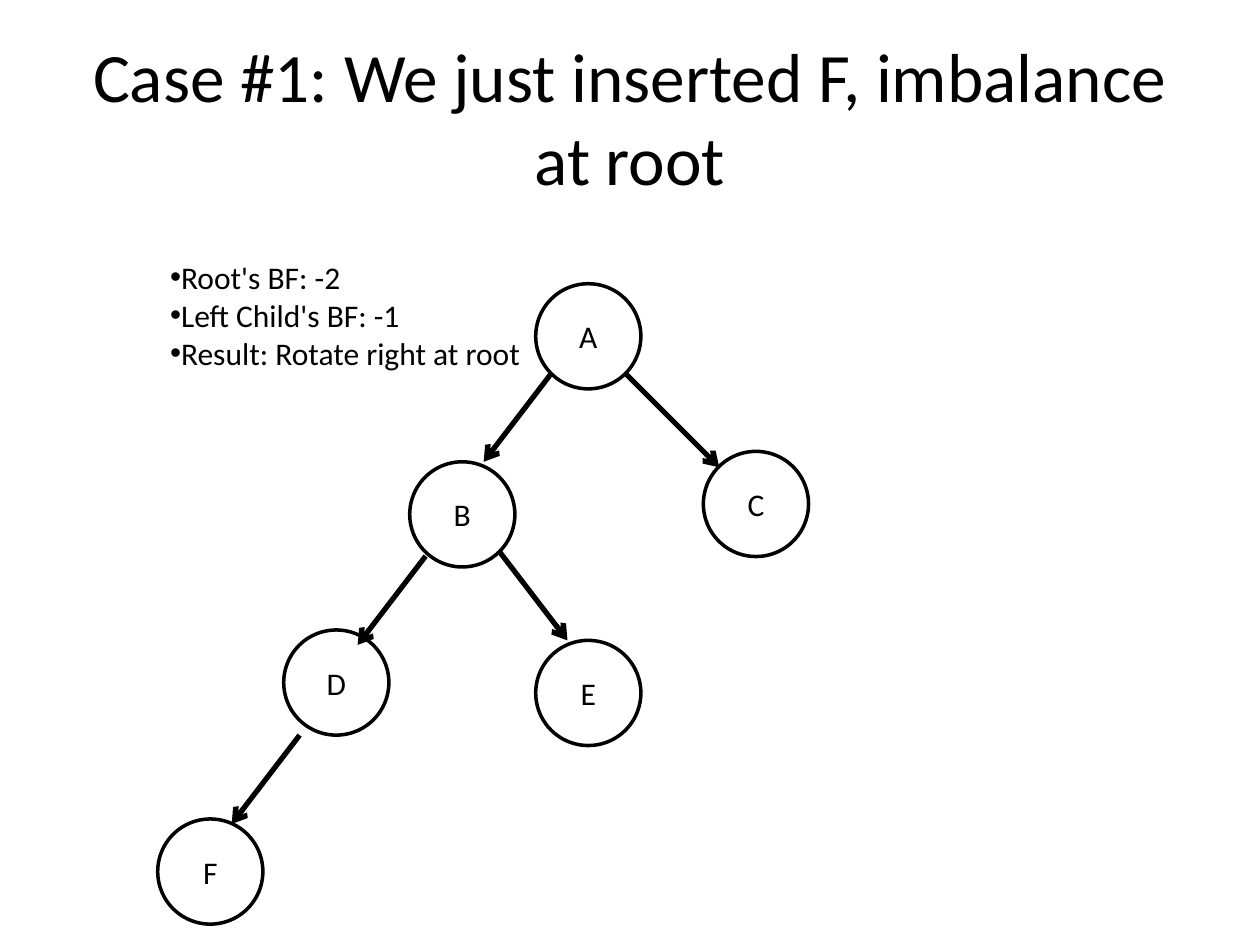
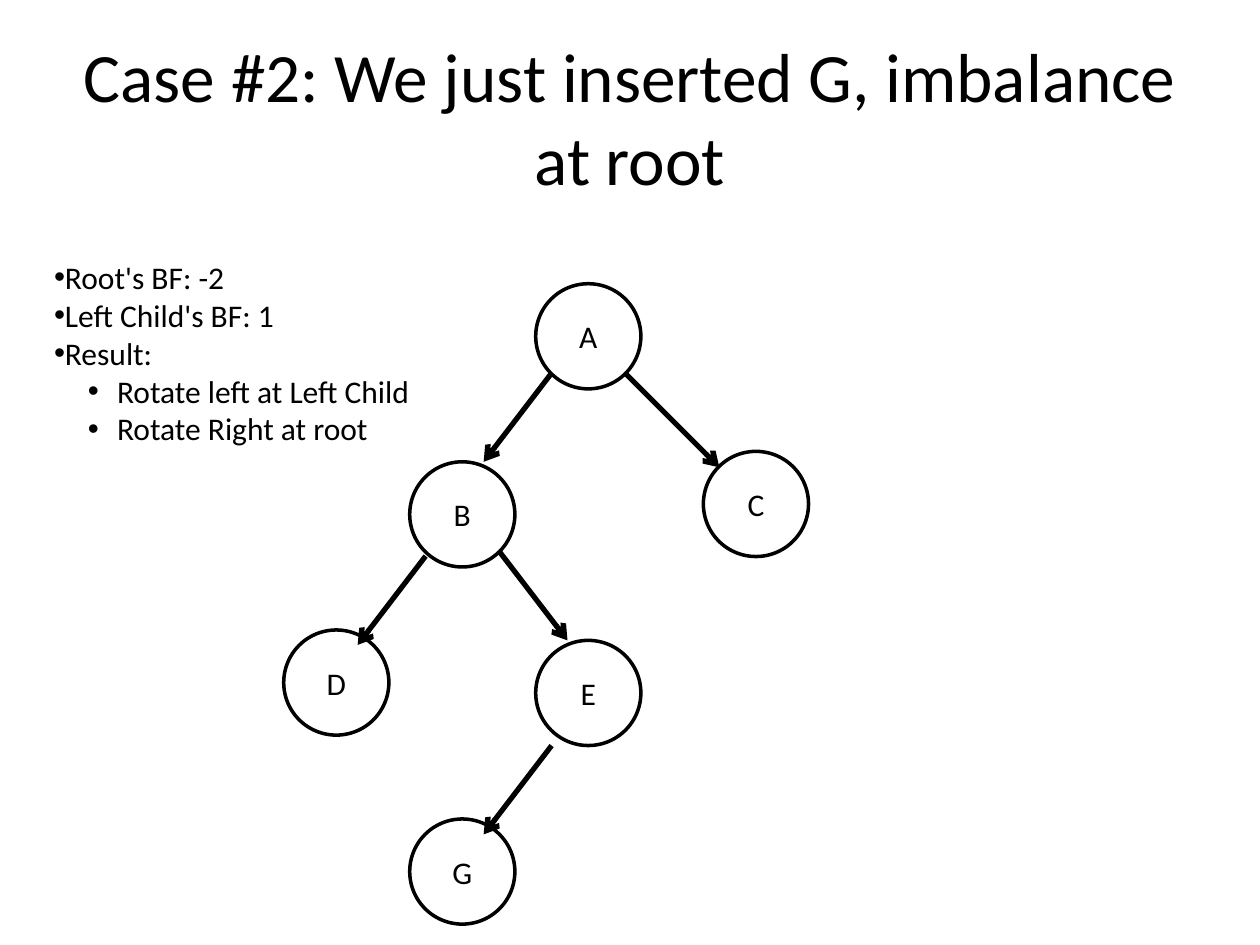
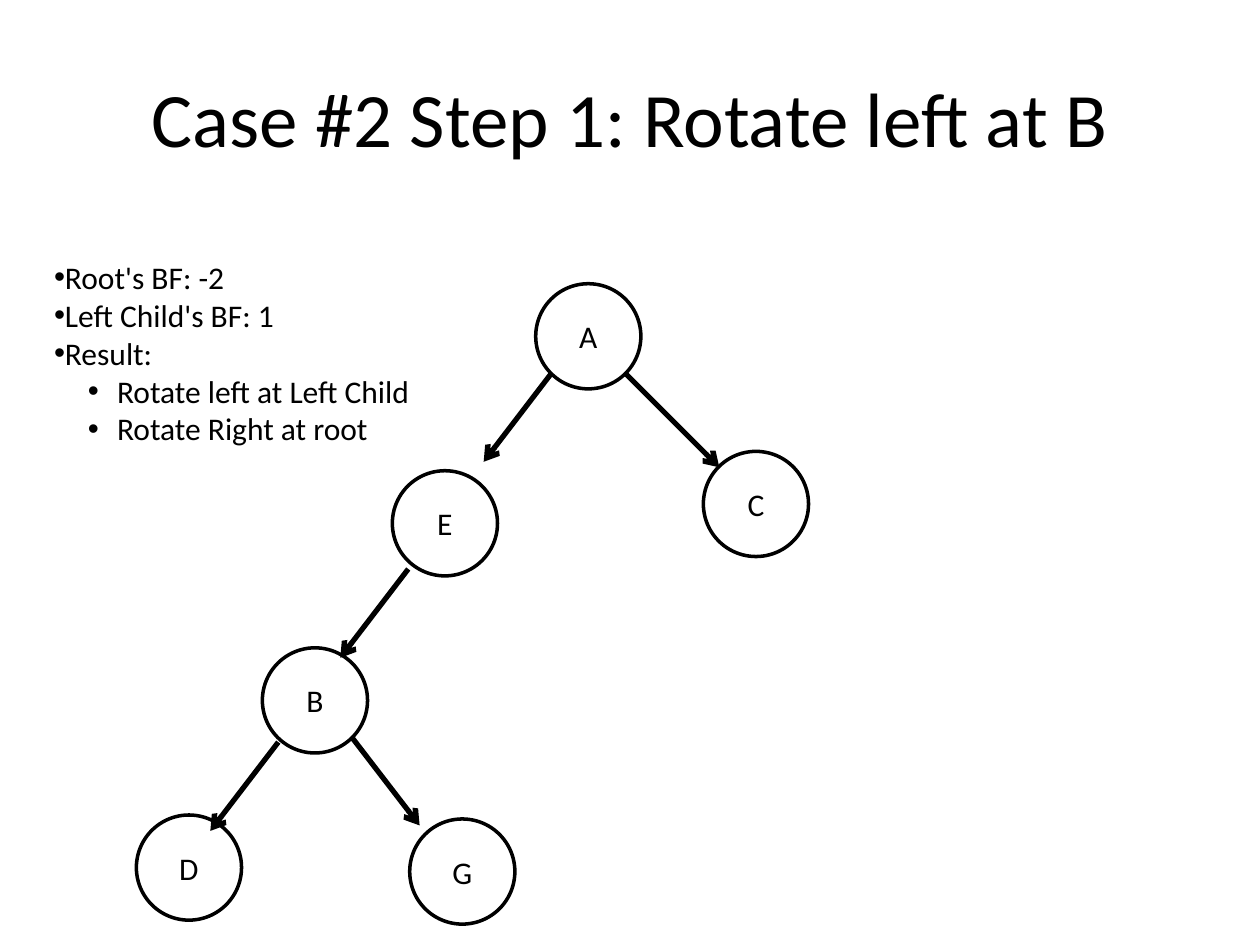
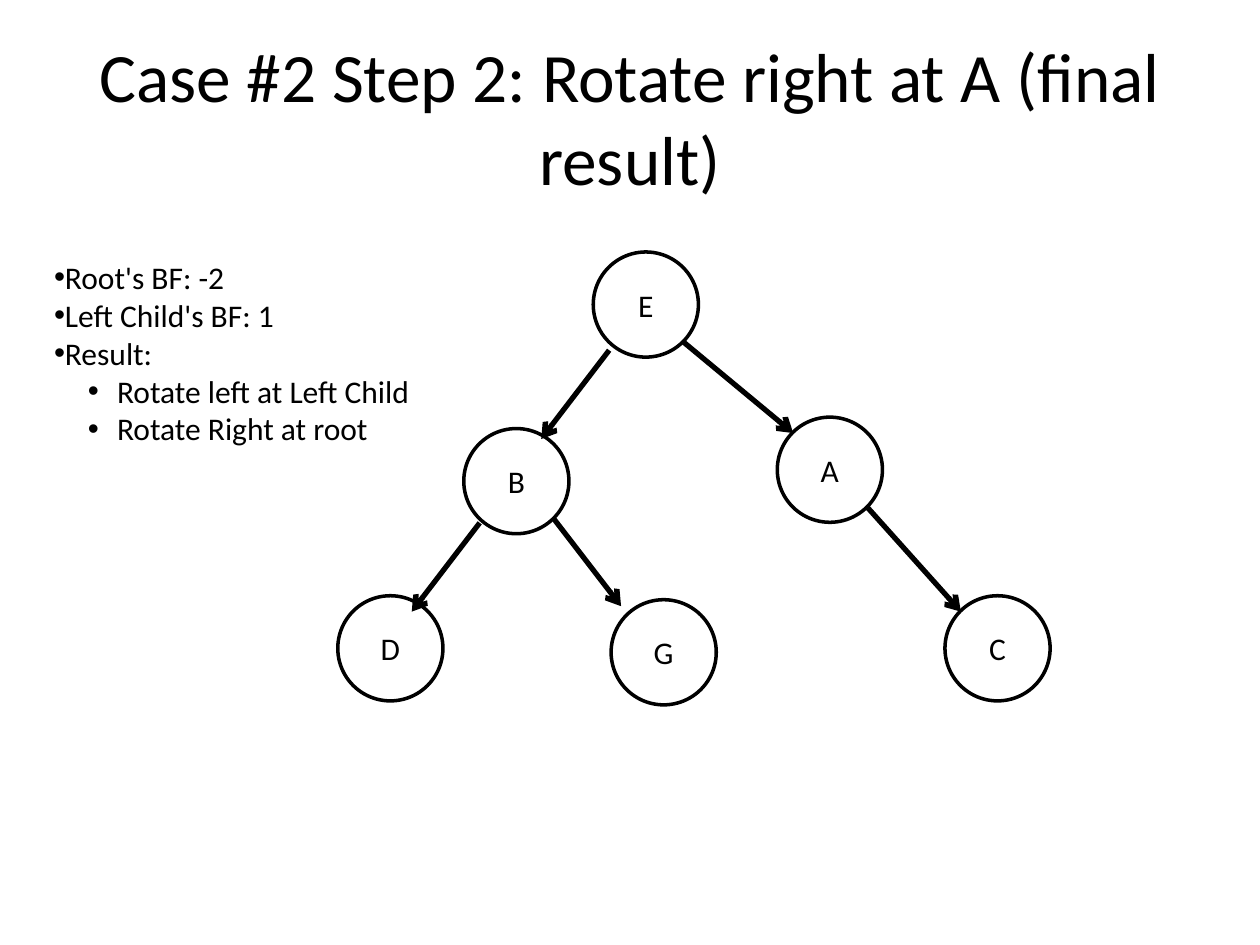
import pptx
import pptx.dml.color
import pptx.enum.shapes
import pptx.enum.text
import pptx.oxml.ns
import pptx.util
from lxml import etree

Cm = pptx.util.Cm
Pt = pptx.util.Pt
qn = pptx.oxml.ns.qn

COLORS = {"ink": "000000", "paper": "FFFFFF"}
FONT = "Calibri"

# Tree geometry in cm
DIAMETER = 2.12
LEFT_START = 0.32          # left edges leave the parent this far in
LEFT_RUN = (-1.37, 1.79)   # every left edge has the same slope and length
RIGHT_START = 1.8          # right edges leave at this offset, across and down
TIP = (0.32, 0.32)         # usual end of a right edge, from the child's corner


class Deck:
    """Holds the style and the current slide."""

    def __init__(self):
        self.prs = pptx.Presentation()
        self.prs.slide_width, self.prs.slide_height = Cm(25.4), Cm(19.05)
        self.slide = None

    def color(self, name):
        return pptx.dml.color.RGBColor.from_string(COLORS[name])

    def format_text(self, p, size):
        for r in p.runs:
            r.font.name = FONT
            r.font.size = Pt(size)
            r.font.color.rgb = self.color("ink")

    def center_text(self, sp, text, size):
        tf = sp.text_frame
        tf.text = text
        tf.word_wrap = True
        tf.vertical_anchor = pptx.enum.text.MSO_ANCHOR.MIDDLE
        p = tf.paragraphs[0]
        p.alignment = pptx.enum.text.PP_ALIGN.CENTER
        self.format_text(p, size)

    def add_slide(self, title, size):
        self.slide = self.prs.slides.add_slide(self.prs.slide_layouts[6])
        fill = self.slide.background.fill
        fill.solid()
        fill.fore_color.rgb = self.color("paper")
        sp = self.slide.shapes.add_textbox(Cm(1.27), Cm(0.76), Cm(22.86), Cm(3.18))
        self.center_text(sp, title, size)

    def add_node(self, label, x, y):
        sp = self.slide.shapes.add_shape(
            pptx.enum.shapes.MSO_SHAPE.OVAL, Cm(x), Cm(y), Cm(DIAMETER), Cm(DIAMETER))
        sp.shadow.inherit = False
        sp.fill.background()
        sp.line.color.rgb = self.color("ink")
        sp.line.width = Pt(2)
        self.center_text(sp, label, 18)

    def add_arrow(self, x1, y1, x2, y2):
        line = self.slide.shapes.add_connector(
            pptx.enum.shapes.MSO_CONNECTOR.STRAIGHT, Cm(x1), Cm(y1), Cm(x2), Cm(y2))
        line.line.color.rgb = self.color("ink")
        line.line.width = Pt(3)
        etree.SubElement(line.line._get_or_add_ln(), qn("a:tailEnd"), type="arrow")
        etree.SubElement(line._element.spPr, qn("a:effectLst"))

    def add_tree(self, nodes, left, right):
        for label, (x, y) in nodes.items():
            self.add_node(label, x, y)
        for parent, drop in left.items():
            x, y = nodes[parent]
            x, y = x + LEFT_START, y + drop
            self.add_arrow(x, y, x + LEFT_RUN[0], y + LEFT_RUN[1])
        for parent, (child, (dx, dy)) in right.items():
            x, y = nodes[parent]
            end_x, end_y = nodes[child]
            self.add_arrow(x + RIGHT_START, y + RIGHT_START, end_x + dx, end_y + dy)

    def add_notes_list(self, x, width, height, items):
        sp = self.slide.shapes.add_textbox(Cm(x), Cm(5.08), Cm(width), Cm(height))
        tf = sp.text_frame
        tf.word_wrap = True
        for i, (level, text) in enumerate(items):
            p = tf.paragraphs[0] if i == 0 else tf.add_paragraph()
            p.text = text
            p.level = level
            self.format_text(p, 18)
            pPr = p._p.get_or_add_pPr()
            pPr.set("marL", str(Cm(1.27 * level)))
            pPr.set("indent", str(Cm(-0.59 * level)))
            etree.SubElement(pPr, qn("a:buFont"), typeface="Arial")
            etree.SubElement(pPr, qn("a:buChar"), char="•")


def main():
    deck = Deck()

    # Shared tree and notes
    start_tree = {"A": (10.8, 5.72), "B": (8.26, 9.31), "C": (14.18, 9.1),
                  "D": (5.72, 12.7), "E": (10.8, 12.91)}
    start_right = {"A": ("C", TIP), "B": ("E", (0.64, 0))}
    g_bottom = (8.26, 16.51)
    g_tip = (0.2, 0.13)
    case_1 = [(0, "Root's BF: -2"), (0, "Left Child's BF: -1"),
              (0, "Result: Rotate right at root")]
    case_2 = [(0, "Root's BF: -2"), (0, "Left Child's BF: 1"), (0, "Result:"),
              (1, "Rotate left at Left Child"), (1, "Rotate Right at root")]
    case_2_box = (0.84, 10.16, 4.88)

    # Case 1: F inserted
    deck.add_slide("Case #1: We just inserted F, imbalance at root", 39.6)
    deck.add_tree({**start_tree, "F": (3.18, 16.51)},
                  {"A": 1.8, "B": 1.9, "D": 2.12}, start_right)
    deck.add_notes_list(3.18, 7.82, 3.33, case_1)

    # Case 2: G inserted
    deck.add_slide("Case #2: We just inserted G, imbalance at root", 39.6)
    deck.add_tree({**start_tree, "G": g_bottom},
                  {"A": 1.8, "B": 1.9, "E": 2.12}, start_right)
    deck.add_notes_list(*case_2_box, case_2)

    # Case 2, step 1: left rotation
    deck.add_slide("Case #2 Step 1: Rotate left at B", 44)
    deck.add_tree({"A": start_tree["A"], "B": (5.29, 13.06), "C": start_tree["C"],
                   "D": (2.75, 16.43), "E": (7.91, 9.49), "G": g_bottom},
                  {"A": 1.8, "B": 1.9, "E": 1.98},
                  {"A": ("C", TIP), "B": ("G", g_tip)})
    deck.add_notes_list(*case_2_box, case_2)

    # Case 2, step 2: right rotation
    deck.add_slide("Case #2 Step 2: Rotate right at A (final result)", 39.6)
    deck.add_tree({"A": (15.67, 8.41), "B": (9.35, 8.64), "C": (19.05, 12.01),
                   "D": (6.81, 12.01), "E": (11.96, 5.08), "G": (12.32, 12.09)},
                  {"B": 1.9, "E": 1.98},
                  {"E": ("A", TIP), "A": ("C", TIP), "B": ("G", g_tip)})
    deck.add_notes_list(*case_2_box, case_2)

    deck.prs.save("out.pptx")


if __name__ == "__main__":
    main()
